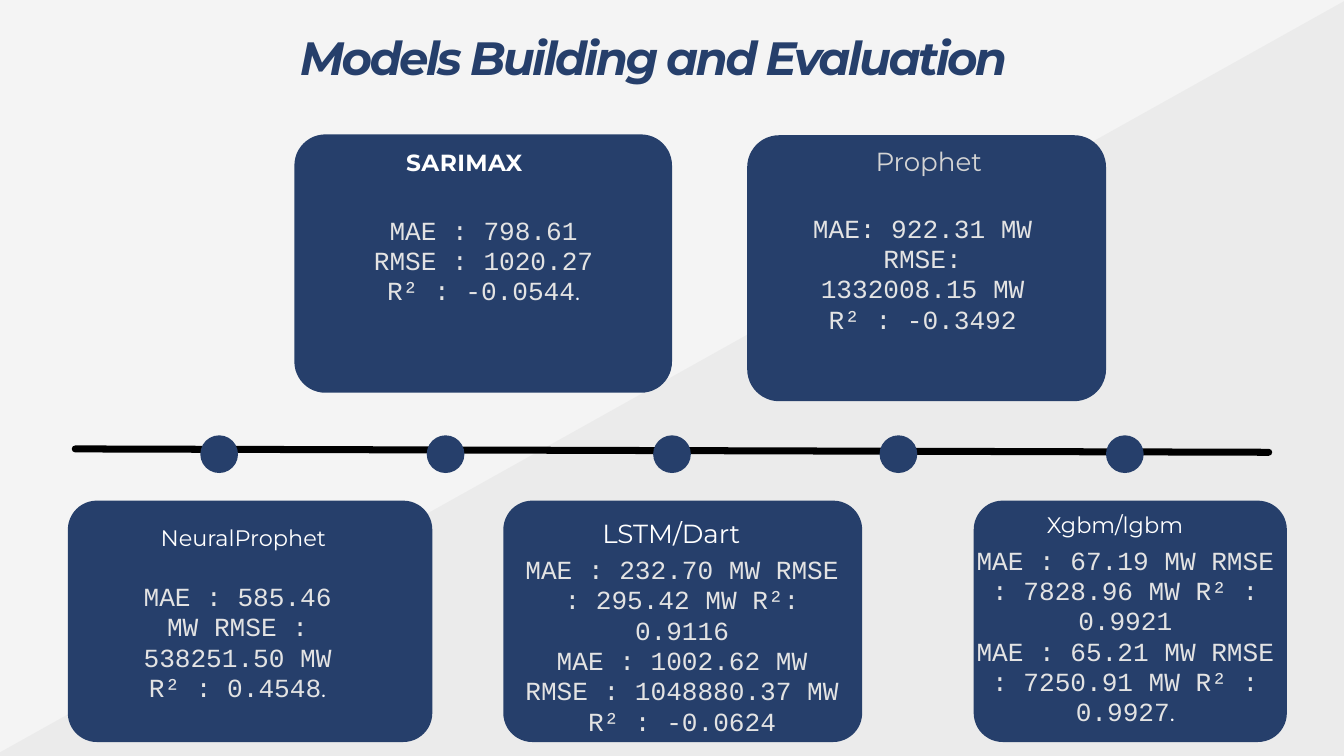
from pptx import Presentation
from pptx.dml.color import RGBColor
from pptx.enum import shapes, text
from pptx.oxml import ns
from pptx.util import Pt
from lxml import etree

NAVY, WHITE, GREY, PALE = "263F6B", "FFFFFF", "D4D4D4", "E3E3E3"
SANS, MONO = "Montserrat", "Courier New"


def rgb(code):
    return RGBColor.from_string(code)


class Deck:
    def __init__(self, wide, high, back):
        self.prs = Presentation()
        self.prs.slide_width, self.prs.slide_height = Pt(wide), Pt(high)
        self.slide = self.prs.slides.add_slide(self.prs.slide_layouts[6])
        fill = self.slide.background.fill
        fill.solid()
        fill.fore_color.rgb = rgb(back)

    def shape(self, kind, box, color):
        item = self.slide.shapes.add_shape(kind, *map(Pt, box))
        item.shadow.inherit = False
        item.fill.solid()
        item.fill.fore_color.rgb = rgb(color)
        item.line.fill.background()
        return item

    def band(self, box, color, turn, alpha):
        item = self.shape(shapes.MSO_SHAPE.RECTANGLE, box, color)
        item.rotation = turn
        tint = item.fill._xPr.find(".//" + ns.qn("a:srgbClr"))
        etree.SubElement(tint, ns.qn("a:alpha")).set("val", str(alpha * 1000))

    def card(self, box):
        item = self.shape(shapes.MSO_SHAPE.ROUNDED_RECTANGLE, box, NAVY)
        item.adjustments[0] = 0.12

    def dot(self, x, y, size):
        box = (x - size / 2, y - size / 2, size, size)
        self.shape(shapes.MSO_SHAPE.OVAL, box, NAVY)

    def line(self, ends, color, width):
        item = self.slide.shapes.add_connector(
            shapes.MSO_CONNECTOR.STRAIGHT, *map(Pt, ends))
        item.line.color.rgb = rgb(color)
        item.line.width = Pt(width)
        item.line._get_or_add_ln().set("cap", "rnd")
        etree.SubElement(item._element.spPr, ns.qn("a:effectLst"))

    def text(self, box, paras, lead=32.5, inset=(0, 0), align="CENTER"):
        """Each paragraph is a list of runs; None stands for a line break."""
        frame = self.slide.shapes.add_textbox(*map(Pt, box)).text_frame
        frame.word_wrap = True
        frame.margin_left = frame.margin_right = Pt(inset[0])
        frame.margin_top = frame.margin_bottom = Pt(inset[1])
        for i, runs in enumerate(paras):
            para = frame.add_paragraph() if i else frame.paragraphs[0]
            para.alignment = getattr(text.PP_ALIGN, align)
            if lead:
                para.line_spacing = Pt(lead)
            for run in runs:
                if run is None:
                    para.add_line_break()
                else:
                    self.run(para, *run)

    def run(self, para, words, size, face, color, style="", gap=0):
        run = para.add_run()
        run.text = words
        font = run.font
        font.size, font.name, font.color.rgb = Pt(size), face, rgb(color)
        font.bold, font.italic = "b" in style, "i" in style
        if gap:
            run._r.get_or_add_rPr().set("spc", str(int(gap * 100)))


def score(words):
    return words, 28, MONO, PALE


def main():
    deck = Deck(1440, 810, "F4F4F4")
    stop = (".", 25, SANS, WHITE, "", 0.5)

    # Diagonal background band
    deck.band((-87.84, 342.72, 2030.4, 754.56), "545454", 330.8, 5)

    # Timeline
    deck.line((80.64, 481, 1359.36, 484.6), "000000", 7.5)
    for i in range(5):
        deck.dot(720 + 242.6 * (i - 2), 486.6, 40.4)

    # Model cards: two above the line, three below
    for box in ((315.4, 144, 404.6, 276.8), (800.6, 144.9, 384.5, 285),
                (72.7, 536.4, 390.5, 258.6), (539.3, 536.4, 384.5, 258.6),
                (1043.3, 536.4, 335.5, 258.6)):
        deck.card(box)

    # Title
    deck.text((148.3, 41.8, 1103.8, 50.4),
              [[("Models Building and Evaluation", 50, SANS, NAVY, "bi", -2.9)]], 49)

    # Model names
    deck.text((370, 156.2, 254.9, 31), [[("SARIMAX", 25, SANS, WHITE, "b", 0.5)]])
    deck.text((867.6, 156.2, 254.9, 33.8), [[("Prophet", 28, SANS, GREY)]], None)
    deck.text((591.8, 555.1, 254.9, 33.1), [[("LSTM/Dart", 28, SANS, WHITE)]])
    deck.text((111.6, 558, 298.1, 36), [[("NeuralProphet", 24, SANS, WHITE)]],
              None, (7.2, 3.6))
    deck.text((1114.6, 544.3, 230.4, 36), [[("Xgbm/lgbm", 24, SANS, WHITE)]],
              None, (7.2, 3.6), "LEFT")

    # Scores
    deck.text((150.5, 622.8, 208.1, 133.2),
              [[score("MAE : 585.46 MW RMSE : 538251.50 MW R² : 0.4548"), stop]])
    deck.text((387.4, 230.4, 261.4, 100.1),
              [[score("MAE : 798.61 RMSE : 1020.27 R² : -0.0544"), stop]])
    deck.text((854.6, 228.2, 267.8, 133.2),
              [[score("MAE: 922.31 MW RMSE: 1332008.15 MW R² : -0.3492")]])
    deck.text((555.8, 594, 349.9, 200.2),
              [[score("MAE : 232.70 MW RMSE : 295.42 MW R²: 0.9116")],
               [score("MAE : 1002.62 MW RMSE : 1048880.37 MW R² : -0.0624")]])
    deck.text((1044, 583.9, 323.3, 200.2),
              [[score("MAE : 67.19 MW RMSE : 7828.96 MW R² : 0.9921"), None,
                score("MAE : 65.21 MW RMSE : 7250.91 MW R² : 0.9927"), stop]])

    deck.prs.save("out.pptx")


if __name__ == "__main__":
    main()
